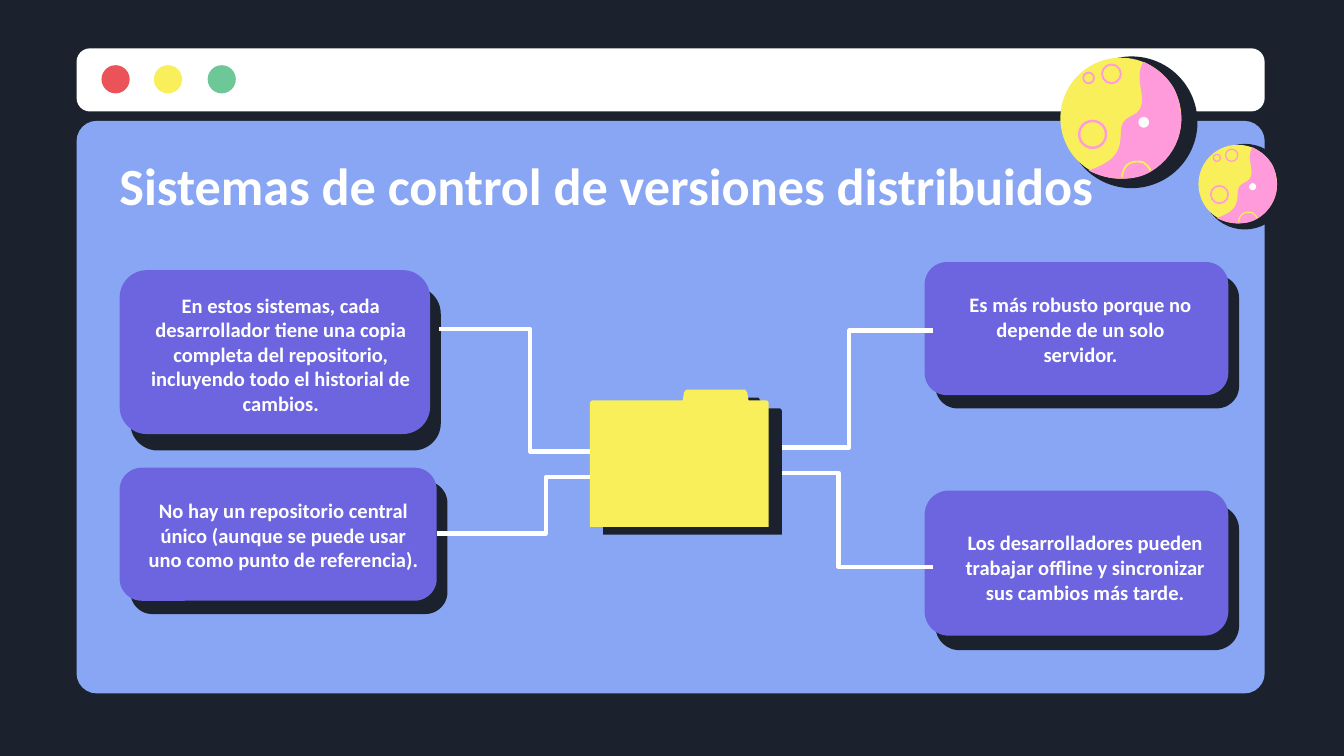
from dataclasses import dataclass

from lxml import etree
from pptx import Presentation
from pptx.dml.color import RGBColor
from pptx.enum.shapes import MSO_CONNECTOR, MSO_SHAPE
from pptx.enum.text import MSO_ANCHOR, PP_ALIGN
from pptx.oxml.ns import qn
from pptx.util import Inches, Pt

ELBOW = MSO_CONNECTOR.ELBOW
OVAL, ROUND_RECT = MSO_SHAPE.OVAL, MSO_SHAPE.ROUNDED_RECTANGLE
MIDDLE = MSO_ANCHOR.MIDDLE
LEFT, CENTER = PP_ALIGN.LEFT, PP_ALIGN.CENTER


@dataclass(frozen=True)
class Theme:
    dark: str = "1B222D"
    panel: str = "88A6F3"
    card: str = "6D65E0"
    white: str = "FFFFFF"
    yellow: str = "F8EF5B"
    pink: str = "FF9BDA"
    red: str = "EB5358"
    green: str = "6DC797"
    font: str = "Calibri"
    title_size: float = 28
    body_size: float = 11
    line_width: float = 2.25


# Moon outlines, in inches from the centre of a full-size moon.
# A pair is a straight step; six numbers are a Bezier curve.
MOON_RADIUS = 0.45
MOON_PATCH = [
    (0.17, -0.42),
    (0.25, -0.38, 0.32, -0.33, 0.37, -0.26),
    (0.41, -0.21, 0.43, -0.14, 0.44, -0.08),
    (0.48, 0.11, 0.39, 0.30, 0.22, 0.40),
    (0.15, 0.44, 0.08, 0.45, 0.01, 0.45),
    (-0.08, 0.45, -0.16, 0.43, -0.24, 0.39),
    (-0.05, 0.32, 0, 0.26, 0, 0.10),
    (0, -0.07, 0.20, 0.04, 0.15, -0.21),
    (0.13, -0.32, 0.14, -0.38, 0.17, -0.42),
]
MOON_RIM = [
    (0.01, 0.44),
    (0.01, 0.43, 0.01, 0.41, 0.02, 0.39),
    (0.03, 0.36, 0.05, 0.34, 0.08, 0.33),
    (0.11, 0.32, 0.14, 0.32, 0.17, 0.33),
    (0.19, 0.35, 0.21, 0.36, 0.22, 0.39),
]
CRATERS = [(-0.21, 0.12, 0.1, 1.3), (-0.24, -0.3, 0.04, 1), (-0.07, -0.33, 0.07, 1)]

FOLDER = [
    (5.72, 3), (5.72, 3.92), (4.39, 3.92), (4.39, 3),
    (4.39, 2.99, 4.4, 2.98, 4.41, 2.98),
    (5.08, 2.98), (5.09, 2.92),
    (5.1, 2.91, 5.1, 2.9, 5.11, 2.9),
    (5.54, 2.9),
    (5.55, 2.9, 5.55, 2.91, 5.56, 2.92),
    (5.57, 2.98), (5.7, 2.98),
    (5.71, 2.98, 5.72, 2.99, 5.72, 3),
]

# Card box, label box, label
CARDS = [
    ((6.88, 3.65, 2.26, 1.08), (7.04, 3.93, 2.07, 0.58),
     "Los desarrolladores pueden trabajar offline y sincronizar sus cambios más tarde."),
    ((0.89, 3.48, 2.36, 0.99), (0.98, 3.57, 2.26, 0.82),
     "No hay un repositorio central único (aunque se puede usar uno como punto de referencia)."),
    ((0.89, 2.01, 2.31, 1.22), (1.01, 2.16, 2.16, 0.95),
     "En estos sistemas, cada desarrollador tiene una copia completa del repositorio, "
     "incluyendo todo el historial de cambios."),
    ((6.88, 1.95, 2.26, 0.99), (7.04, 2.16, 2, 0.58),
     "Es más robusto porque no depende de un solo servidor."),
]
LINKS = [
    (3.27, 2.45, 4.62, 3.36), (3.25, 3.97, 4.87, 3.55),
    (6.94, 2.46, 5.7, 3.33), (6.94, 4.22, 5.54, 3.52),
]


def flatten(path, steps=12):
    """Turn straight steps and Bezier curves into a list of points."""
    pts = [path[0]]
    for seg in path[1:]:
        if len(seg) == 2:
            pts.append(seg)
            continue
        ctrl = [pts[-1], seg[:2], seg[2:4], seg[4:]]
        for i in range(1, steps + 1):
            t = i / steps
            weights = ((1 - t) ** 3, 3 * t * (1 - t) ** 2, 3 * t * t * (1 - t), t ** 3)
            pts.append(tuple(sum(w * c[k] for w, c in zip(weights, ctrl)) for k in (0, 1)))
    return pts


class SlideBuilder:
    def __init__(self, slide, theme):
        self.s, self.th = slide, theme
        fill = slide.background.fill
        fill.solid()
        fill.fore_color.rgb = RGBColor.from_string(theme.dark)

    def paint(self, sp, fill=None, line=None, width=1):
        sp.shadow.inherit = False
        if fill:
            sp.fill.solid()
            sp.fill.fore_color.rgb = RGBColor.from_string(fill)
        else:
            sp.fill.background()
        if line:
            sp.line.color.rgb = RGBColor.from_string(line)
            sp.line.width = Pt(width)
        else:
            sp.line.fill.background()
        return sp

    def round_rect(self, box, fill, radius):
        sp = self.s.shapes.add_shape(ROUND_RECT, *map(Inches, box))
        sp.adjustments[0] = radius / min(box[2:])
        return self.paint(sp, fill)

    def circle(self, x, y, radius, fill=None, line=None, width=1):
        box = (x - radius, y - radius, 2 * radius, 2 * radius)
        sp = self.s.shapes.add_shape(OVAL, *map(Inches, box))
        return self.paint(sp, fill, line, width)

    def outline(self, path, x=0, y=0, scale=1, close=True, **style):
        pts = [(Inches(x + px * scale), Inches(y + py * scale)) for px, py in flatten(path)]
        fb = self.s.shapes.build_freeform(*pts[0])
        fb.add_line_segments(pts[1:], close=close)
        return self.paint(fb.convert_to_shape(), **style)

    def text(self, box, text, size, align):
        tf = self.s.shapes.add_textbox(*map(Inches, box)).text_frame
        tf.word_wrap = True
        tf.vertical_anchor = MIDDLE
        tf.margin_left = tf.margin_right = tf.margin_top = tf.margin_bottom = Inches(0.1)
        p = tf.paragraphs[0]
        p.alignment = align
        r = p.add_run()
        r.text = text
        r.font.name, r.font.size, r.font.bold = self.th.font, Pt(size), True
        r.font.color.rgb = RGBColor.from_string(self.th.white)

    def card(self, box, label_box, label):
        x, y, w, h = box
        self.round_rect((x + 0.08, y + 0.1 * h, w, h), self.th.dark, h / 6)
        self.round_rect(box, self.th.card, h / 6)
        self.text(label_box, label, self.th.body_size, CENTER)

    def link(self, ends):
        cn = self.s.shapes.add_connector(ELBOW, *map(Inches, ends))
        cn.line.color.rgb = RGBColor.from_string(self.th.white)
        cn.line.width = Pt(self.th.line_width)
        etree.SubElement(cn._element.spPr, qn("a:effectLst"))

    def moon(self, x, y, scale):
        th = self.th
        self.circle(x + 0.08 * scale, y + 0.03 * scale, 0.49 * scale, th.dark)
        self.circle(x, y, MOON_RADIUS * scale, th.yellow)
        for cx, cy, radius, width in CRATERS:
            self.circle(x + cx * scale, y + cy * scale, radius * scale,
                        line=th.pink, width=width * scale)
        self.outline(MOON_PATCH, x, y, scale, fill=th.pink)
        self.outline(MOON_RIM, x, y, scale, close=False, line=th.yellow, width=scale)
        self.circle(x + 0.17 * scale, y + 0.03 * scale, 0.04 * scale, th.white)

    def folder(self):
        sp = self.outline(FOLDER, fill=self.th.yellow)
        effects = sp._element.spPr.find(qn("a:effectLst"))
        shadow = etree.SubElement(effects, qn("a:outerShdw"), blurRad="0", dist=str(Pt(8.2)),
                                  dir=str(31 * 60000), algn="bl", rotWithShape="0")
        etree.SubElement(shadow, qn("a:srgbClr"), val=self.th.dark)


def main():
    prs = Presentation()
    prs.slide_width = Inches(10)
    prs.slide_height = prs.slide_width * 9 // 16
    th = Theme()
    b = SlideBuilder(prs.slides.add_slide(prs.slide_layouts[6]), th)

    # Window frame with its three buttons
    b.round_rect((0.57, 0.9, 8.84, 4.26), th.panel, 0.15)
    b.round_rect((0.57, 0.36, 8.84, 0.47), th.white, 0.1)
    for x, color in ((0.86, th.red), (1.25, th.yellow), (1.65, th.green)):
        b.circle(x, 0.59, 0.21 / 2, color)

    # Moons
    b.moon(8.34, 0.88, 1)
    b.moon(9.21, 1.37, 0.65)

    # Title, cards, links and central folder
    b.text((0.79, 1.06, 8.43, 0.62), "Sistemas de control de versiones distribuidos",
           th.title_size, LEFT)
    for card in CARDS:
        b.card(*card)
    for ends in LINKS:
        b.link(ends)
    b.folder()

    prs.save("out.pptx")


if __name__ == "__main__":
    main()
